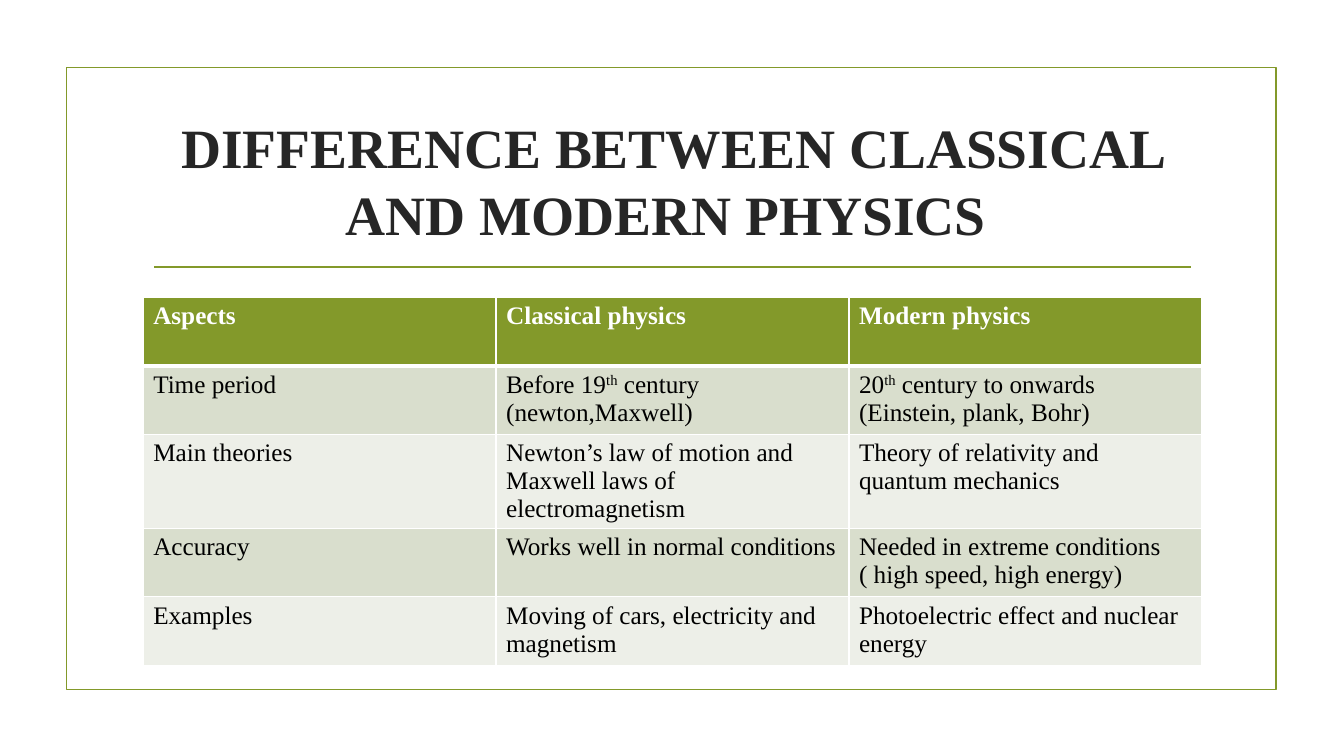
from lxml.etree import SubElement
from pptx import Presentation
from pptx.dml.color import RGBColor as RGB
from pptx.enum.shapes import MSO_CONNECTOR as CONN, MSO_SHAPE as SHAPE
from pptx.enum.text import MSO_ANCHOR as ANCHOR, MSO_AUTO_SIZE as AUTO, PP_ALIGN as ALIGN
from pptx.oxml.ns import qn
from pptx.util import Inches, Pt

COLORS = {
    "accent": "83992A",
    "title": "262626",
    "text": "000000",
    "white": "FFFFFF",
    "band_dark": "D9DECD",
    "band_light": "EDEFE8",
}
FONT = "Times New Roman"

# Text between carets is set as superscript.
ROWS = [
    ["Aspects", "Classical physics", "Modern physics"],
    ["Time period", "Before 19^th^ century (newton,Maxwell)",
     "20^th^ century to onwards (Einstein, plank, Bohr)"],
    ["Main theories", "Newton’s law of motion and Maxwell laws of electromagnetism",
     "Theory of relativity and quantum mechanics"],
    ["Accuracy", "Works well in normal conditions",
     "Needed in extreme conditions ( high speed, high energy)"],
    ["Examples", "Moving of cars, electricity and magnetism",
     "Photoelectric effect and nuclear energy"],
]


def color(name):
    return RGB.from_string(COLORS[name])


class SlideBuilder:
    def __init__(self, prs):
        self.s = prs.slides.add_slide(prs.slide_layouts[5])

    def style(self, p, size, name, bold=False):
        p.font.name = FONT
        p.font.size = Pt(size)
        p.font.bold = bold
        p.font.color.rgb = color(name)

    def line_style(self, line):
        line.color.rgb = color("accent")
        line.width = Pt(1.25)

    def frame(self, x, y, w, h):
        sp = self.s.shapes.add_shape(SHAPE.RECTANGLE, Inches(x), Inches(y), Inches(w), Inches(h))
        sp.shadow.inherit = False
        sp.fill.background()
        self.line_style(sp.line)

    def rule(self, x1, x2, y):
        line = self.s.shapes.add_connector(
            CONN.STRAIGHT, Inches(x1), Inches(y), Inches(x2), Inches(y))
        self.line_style(line.line)
        SubElement(line._element.spPr, qn("a:effectLst"))

    def title(self, text, x, y, w, h):
        sp = self.s.shapes.title
        sp.left, sp.top, sp.width, sp.height = Inches(x), Inches(y), Inches(w), Inches(h)
        tf = sp.text_frame
        tf.word_wrap = True
        tf.auto_size = AUTO.NONE
        tf.vertical_anchor = ANCHOR.MIDDLE
        p = tf.paragraphs[0]
        p.text = text
        p.alignment = ALIGN.CENTER
        self.style(p, 39.6, "title", bold=True)

    def borders(self, cell, widths):
        """Draw white cell borders, given as widths in points by side."""
        tc_pr = cell._tc.get_or_add_tcPr()
        for side, width in widths.items():
            ln = SubElement(tc_pr, qn(f"a:ln{side}"), w=str(Pt(width)))
            fill = SubElement(ln, qn("a:solidFill"))
            SubElement(fill, qn("a:srgbClr"), val=COLORS["white"])

    def cell(self, cell, text, row):
        header = row == 0
        self.borders(cell, {"L": 1, "R": 1, "T": 3 if row == 1 else 1, "B": 3 if header else 1})
        band = "band_dark" if row % 2 else "band_light"
        cell.fill.solid()
        cell.fill.fore_color.rgb = color("accent" if header else band)
        p = cell.text_frame.paragraphs[0]
        self.style(p, 18, "white" if header else "text", bold=header)
        for i, part in enumerate(text.split("^")):
            r = p.add_run()
            r.text = part
            if i % 2:
                r._r.get_or_add_rPr().set("baseline", "30000")

    def table(self, rows, x, y, w, row_h):
        table = self.s.shapes.add_table(
            len(rows), len(rows[0]), Inches(x), Inches(y),
            Inches(w), Inches(row_h * len(rows))).table
        for i, row in enumerate(rows):
            for j, text in enumerate(row):
                self.cell(table.cell(i, j), text, i)


def main():
    prs = Presentation()
    prs.slide_width, prs.slide_height = Inches(13.33), Inches(7.5)
    slide = SlideBuilder(prs)
    slide.frame(0.66, 0.67, 12, 6.17)
    slide.rule(1.53, 11.81, 2.65)
    slide.title("DIFFERENCE BETWEEN CLASSICAL AND MODERN PHYSICS ", 1.42, 1.07, 10.5, 1.43)
    slide.table(ROWS, 1.42, 2.95, 10.5, 0.68)
    prs.save("out.pptx")


if __name__ == "__main__":
    main()
